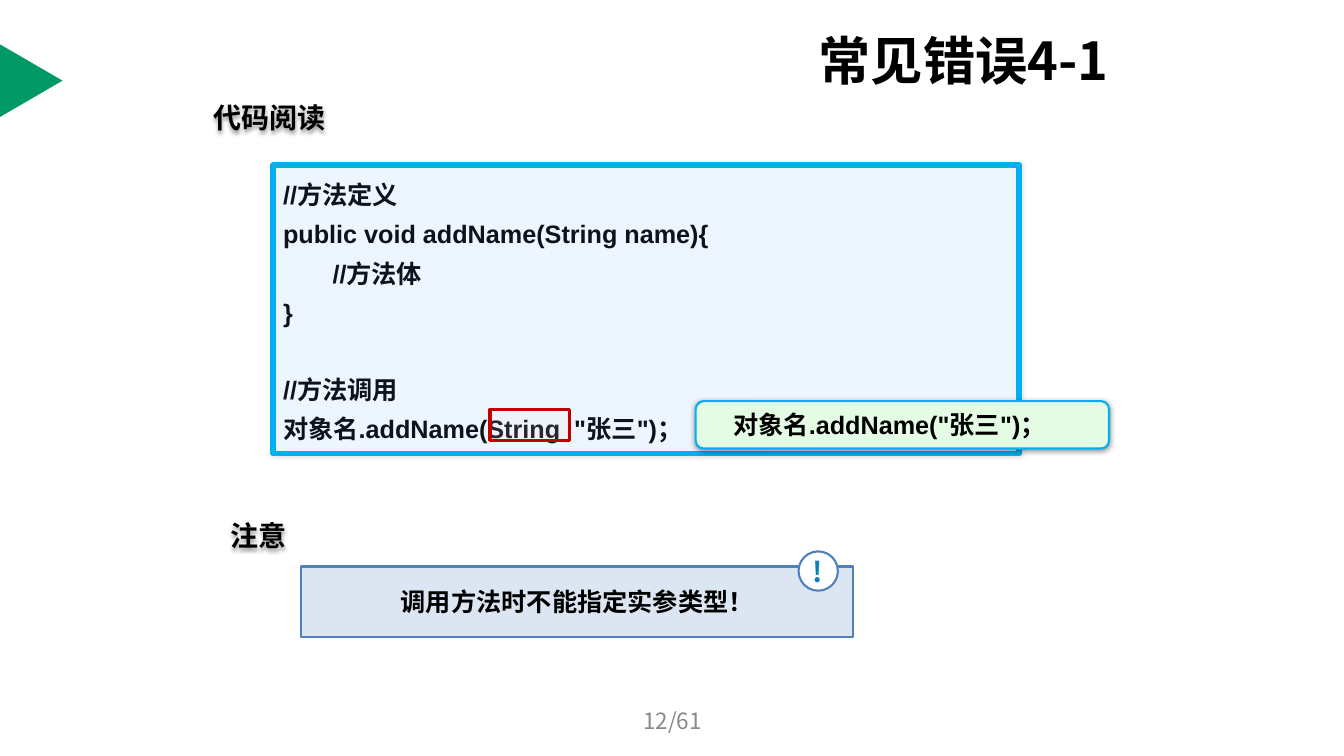
"""Build the slide on a common mistake when calling Java methods."""
from lxml import etree
from pptx import Presentation
from pptx.dml.color import RGBColor
from pptx.enum.shapes import MSO_SHAPE as Shape
from pptx.enum.text import MSO_ANCHOR as Anchor, MSO_AUTO_SIZE as AutoSize, PP_ALIGN as Align
from pptx.oxml.ns import qn
from pptx.util import Inches, Pt

SANS, CODE = "Noto Sans CJK SC", "Arial"
TITLE = "常见错误4-1"
CODE_LINES = [
    ("//方法定义", 0),
    ("public void addName(String name){", 0),
    ("\t//方法体", 0),
    ("}", 0),
    ("//方法调用", 27),
    ("对象名.addName(String  \"张三\")；", 0),
]
CORRECTION = "对象名.addName(\"张三\")；"
HEADINGS = [
    ("代码阅读", (2.02, 0.94, 1.33, 0.44)),
    ("注意", (2.19, 5.09, 0.77, 0.44)),
]
NOTE = "调用方法时不能指定实参类型！"
PAGE_NUMBER = "12/61"


def color(value):
    return RGBColor.from_string(value)


def add_shadow(shape, opacity, blur, distance, angle):
    effects = shape._element.spPr.find(qn("a:effectLst"))
    shadow = etree.SubElement(
        effects, qn("a:outerShdw"), blurRad=str(Pt(blur)), dist=str(Pt(distance)),
        dir=str(angle * 60000), algn="ctr", rotWithShape="0")
    tint = etree.SubElement(shadow, qn("a:srgbClr"), val="000000")
    etree.SubElement(tint, qn("a:alpha"), val=str(opacity * 1000))


def add_box(page, kind, place, fill, line=None, width=1.5, radius=None, opacity=100):
    box = page.shapes.add_shape(kind, *map(Inches, place))
    box.fill.solid()
    box.fill.fore_color.rgb = color(fill)
    if opacity < 100:
        tint = box._element.spPr.find(qn("a:solidFill"))[0]
        etree.SubElement(tint, qn("a:alpha"), val=str(opacity * 1000))
    if line:
        box.line.color.rgb = color(line)
        box.line.width = Pt(width)
    else:
        box.line.fill.background()
    if radius is not None:
        box.adjustments[0] = radius
    box.shadow.inherit = False
    return box


def write(box, lines, size=18, font=SANS, ink="000000", bold=True, align=Align.LEFT,
          anchor=Anchor.MIDDLE, wrap=True, spacing=None, tab=None, side=0.1):
    frame = box.text_frame
    frame.word_wrap = wrap
    frame.auto_size = AutoSize.NONE
    frame.vertical_anchor = anchor
    frame.margin_left = frame.margin_right = Inches(side)
    for index, (text, gap) in enumerate(lines):
        para = frame.add_paragraph() if index else frame.paragraphs[0]
        if tab:
            stops = etree.SubElement(para._p.get_or_add_pPr(), qn("a:tabLst"))
            etree.SubElement(stops, qn("a:tab"), pos=str(Inches(tab)), algn="l")
        para.alignment = align
        if spacing:
            para.line_spacing = spacing
        if gap:
            para.space_before = Pt(gap)
        span = para.add_run()
        span.text = text
        span.font.size = Pt(size)
        span.font.bold = bold
        span.font.color.rgb = color(ink)
        span.font.name = font
        etree.SubElement(span._r.get_or_add_rPr(), qn("a:ea"), typeface=SANS)


def add_text(page, text, place, **style):
    box = page.shapes.add_textbox(*map(Inches, place))
    write(box, [(text, 0)], **style)
    return box


def main():
    deck = Presentation()
    deck.slide_width, deck.slide_height = Inches(13.33), Inches(7.5)
    page = deck.slides.add_slide(deck.slide_layouts[5])

    title = page.shapes.title
    title.left, title.top, title.width, title.height = map(Inches, (8.02, 0.31, 3.45, 0.57))
    write(title, [(TITLE, 0)], size=37.3)

    marker = add_box(page, Shape.ISOSCELES_TRIANGLE, (-0.05, 0.49, 0.72, 0.62), "009966")
    marker.rotation = 90

    listing = add_box(page, Shape.ROUNDED_RECTANGLE, (2.71, 1.64, 7.4, 2.86), "EDF5FD",
                      line="00B0F0", width=4, radius=0)
    add_shadow(listing, 10, 3, 0, 0)
    write(listing, CODE_LINES, font=CODE, ink="0D121B", anchor=Anchor.TOP, spacing=1.3, tab=0.49)

    add_box(page, Shape.RECTANGLE, (4.86, 4.06, 0.79, 0.31), "FFDDDD",
            line="C00000", width=2.25, opacity=10)

    correction = add_box(page, Shape.ROUNDED_RECTANGLE, (6.9, 3.98, 4.1, 0.47), "E4FCE4",
                         line="00B0F0", radius=0.167)
    add_shadow(correction, 40, 4, 1, 90)
    write(correction, [(CORRECTION, 0)], font=CODE, side=0.35)

    for text, place in HEADINGS:
        heading = add_text(page, text, place, size=20, wrap=False)
        heading.shadow.inherit = False
        add_shadow(heading, 40, 3, 2, 90)

    note = add_box(page, Shape.ROUNDED_RECTANGLE, (2.99, 5.62, 5.47, 0.7), "DCE6F2",
                   line="4F81BD", radius=0)
    write(note, [(NOTE, 0)], align=Align.CENTER)
    badge = add_box(page, Shape.OVAL, (7.92, 5.47, 0.39, 0.39), "FFFFFF", line="4F81BD")
    write(badge, [("!", 0)], size=20, ink="0C83B8", align=Align.CENTER, side=0)

    add_text(page, PAGE_NUMBER, (4.56, 6.95, 4.22, 0.4), size=16, ink="898989",
             bold=False, align=Align.CENTER)
    deck.save("out.pptx")


if __name__ == "__main__":
    main()
